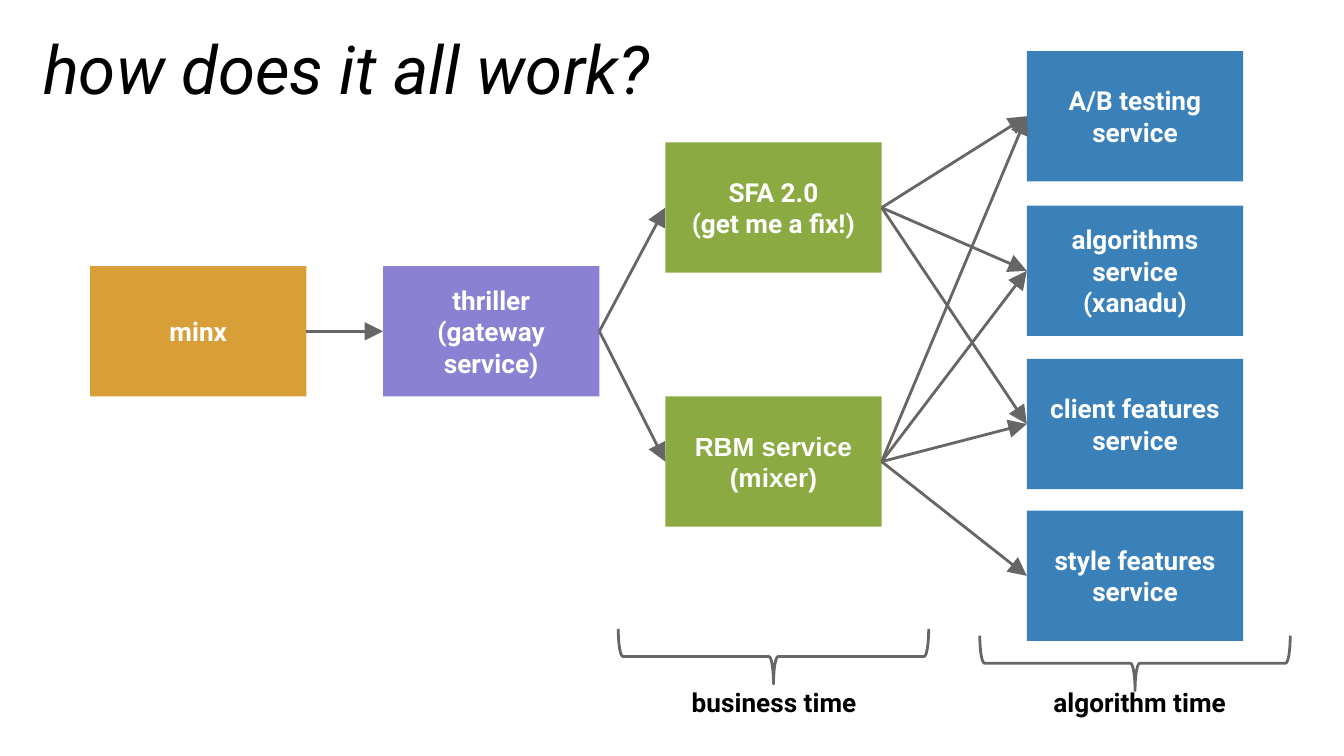
from pptx import Presentation
from pptx.dml.color import RGBColor
from pptx.enum.shapes import MSO_CONNECTOR, MSO_SHAPE
from pptx.enum.text import MSO_ANCHOR, PP_ALIGN
from pptx.oxml.ns import qn
from pptx.util import Inches, Pt
from lxml import etree

RECT, BRACE = MSO_SHAPE.RECTANGLE, MSO_SHAPE.RIGHT_BRACE
STRAIGHT = MSO_CONNECTOR.STRAIGHT
TOP, MIDDLE = MSO_ANCHOR.TOP, MSO_ANCHOR.MIDDLE
LEFT, CENTER = PP_ALIGN.LEFT, PP_ALIGN.CENTER

BLACK = RGBColor(0x00, 0x00, 0x00)
WHITE = RGBColor(0xFF, 0xFF, 0xFF)
GRAY = RGBColor(0x66, 0x66, 0x66)
BLUE = RGBColor(0x3A, 0x81, 0xBA)
GREEN = RGBColor(0x8B, 0xAB, 0x42)
PURPLE = RGBColor(0x8B, 0x81, 0xD2)
ORANGE = RGBColor(0xD8, 0x9F, 0x39)

BOX_W, BOX_H = 1.61, 0.97
RIGHT_X = 7.64
LEFT_SITE, RIGHT_SITE = 1, 3


def write(shape, text, size=14, font="Roboto", color=BLACK, bold=True,
          italic=False, align=CENTER, anchor=TOP):
    """Fill a shape with text, one paragraph per line."""
    frame = shape.text_frame
    frame.word_wrap = True
    frame.vertical_anchor = anchor
    frame.margin_left = frame.margin_right = Inches(0.1)
    frame.margin_top = frame.margin_bottom = Inches(0.1)
    frame.text = text
    for para in frame.paragraphs:
        para.alignment = align
        para.space_before = Pt(0)
        para.line_spacing = 1.0
        for run in para.runs:
            run.font.size = Pt(size)
            run.font.name = font
            run.font.bold = bold
            run.font.italic = italic
            run.font.color.rgb = color


deck = Presentation()
deck.slide_width = Inches(10)
deck.slide_height = Inches(10) * 9 // 16
slide = deck.slides.add_slide(deck.slide_layouts[5])
shapes = slide.shapes

title = shapes.title
title.left, title.top = Inches(0.22), Inches(0.1)
title.width, title.height = Inches(9.26), Inches(0.71)
write(title, "how does it all work?", size=36, bold=False, italic=True,
      align=LEFT)

# Services: key, left, top, fill, font, text
services = [
    ("minx", 0.67, 1.98, ORANGE, "Roboto", "minx"),
    ("gateway", 2.85, 1.98, PURPLE, "Roboto", "thriller\n(gateway service)"),
    ("sfa", 4.95, 1.06, GREEN, "Roboto", "SFA 2.0\n(get me a fix!)"),
    ("mixer", 4.95, 2.95, GREEN, "Arial", "RBM service\n(mixer)"),
    ("testing", RIGHT_X, 0.38, BLUE, "Roboto", "A/B testing\nservice"),
    ("xanadu", RIGHT_X, 1.53, BLUE, "Roboto", "algorithms service\n(xanadu)"),
    ("client", RIGHT_X, 2.67, BLUE, "Roboto", "client features service"),
    ("style", RIGHT_X, 3.8, BLUE, "Roboto", "style features service"),
]
boxes = {}
for key, left, top, fill, font, text in services:
    box = shapes.add_shape(RECT, Inches(left), Inches(top),
                           Inches(BOX_W), Inches(BOX_H))
    box.shadow.inherit = False
    box.fill.solid()
    box.fill.fore_color.rgb = fill
    box.line.fill.background()
    write(box, text, font=font, color=WHITE, anchor=MIDDLE)
    boxes[key] = box

# Calls from each service to the next ones
calls = {
    "minx": ["gateway"],
    "gateway": ["sfa", "mixer"],
    "sfa": ["testing", "xanadu", "client"],
    "mixer": ["testing", "xanadu", "client", "style"],
}
for source, targets in calls.items():
    for target in targets:
        arrow = shapes.add_connector(STRAIGHT, 0, 0, 0, 0)
        arrow.begin_connect(boxes[source], RIGHT_SITE)
        arrow.end_connect(boxes[target], LEFT_SITE)
        arrow.line.color.rgb = GRAY
        arrow.line.width = Pt(1.5)
        line = arrow._element.spPr.find(qn("a:ln"))
        etree.SubElement(line, qn("a:tailEnd"), type="triangle",
                         w="lg", len="lg")
        etree.SubElement(arrow._element.spPr, qn("a:effectLst"))

# Braces, turned to point down, with their labels
stages = [
    ("business time", 5.55, 3.73, 4.5),
    ("algorithm time", 8.24, 3.78, 7.22),
]
for text, left, top, label_x in stages:
    brace = shapes.add_shape(BRACE, Inches(left), Inches(top),
                             Inches(0.41), Inches(2.31))
    brace.rotation = 90
    brace.shadow.inherit = False
    brace.fill.background()
    brace.line.color.rgb = GRAY
    brace.line.width = Pt(1.5)
    label = shapes.add_textbox(Inches(label_x), Inches(5.01),
                               Inches(2.52), Inches(0.48))
    write(label, text)

deck.save("out.pptx")
